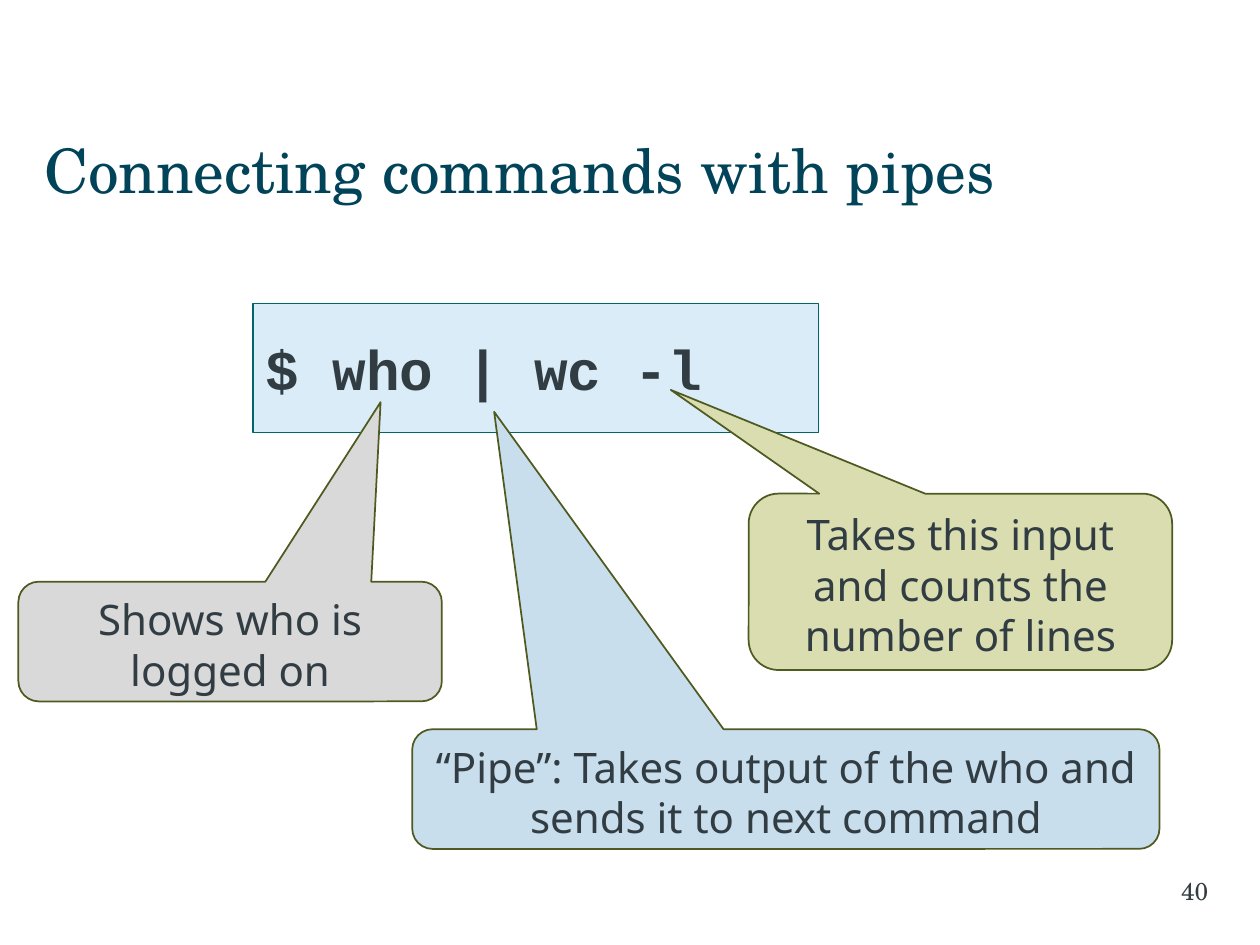
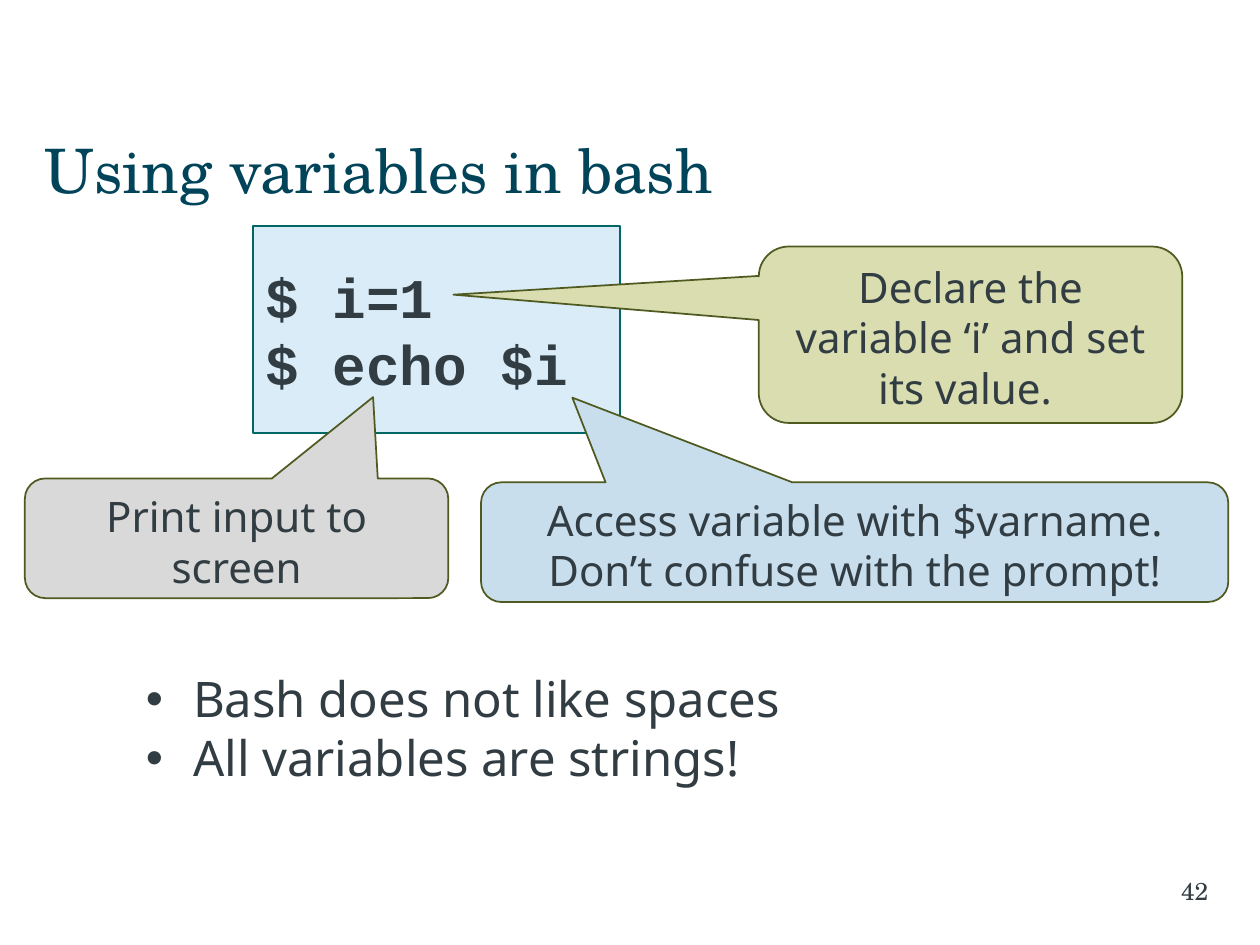
from dataclasses import dataclass

from lxml import etree
from pptx import Presentation
from pptx.dml.color import RGBColor
from pptx.enum import shapes, text
from pptx.oxml import ns
from pptx.util import Pt

KIND = shapes.MSO_SHAPE
ALIGN = text.PP_ALIGN
ANCHOR = text.MSO_ANCHOR


@dataclass(frozen=True)
class Theme:
    serif: str = "TeX Gyre Schola"
    sans: str = "Noto Sans"
    mono: str = "Courier New"
    title: str = "014359"
    ink: str = "323D43"
    code: str = "D4E9F8"
    teal: str = "006666"
    edge: str = "4F5A20"
    grey: str = "D9D9D9"
    blue: str = "C9DEED"
    green: str = "D9DDB0"
    head: int = 35
    cmd: int = 32
    item: int = 28
    note: int = 24
    foot: int = 14


class Deck:
    def __init__(self, theme):
        self.theme = theme
        self.prs = Presentation()
        self.prs.slide_width, self.prs.slide_height = Pt(720), Pt(540)

    def start(self, title, number):
        """Add a slide with its title and page number."""
        t = self.theme
        self.slide = self.prs.slides.add_slide(self.prs.slide_layouts[6])
        box = self.add_box(25.2, 71.3, 669, 51)
        self.set_words(box, title, t.serif, t.head, t.title,
                       anchor=ANCHOR.MIDDLE, pad=(0, 3.6, 7.2, 3.6))
        box = self.add_box(522.7, 496.8, 167.8, 37.4)
        self.set_words(box, str(number), t.serif, t.foot, t.ink,
                       align=ALIGN.RIGHT, pad=(7.2, 3.6, 0, 3.6))

    def add_box(self, *area):
        return self.slide.shapes.add_textbox(*map(Pt, area))

    def add_form(self, kind, area, fill, line):
        form = self.slide.shapes.add_shape(kind, *map(Pt, area))
        form.shadow.inherit = False
        form.fill.solid()
        form.fill.fore_color.rgb = RGBColor.from_string(fill)
        form.line.color.rgb = RGBColor.from_string(line)
        form.line.width = Pt(1)
        return form

    def set_words(self, form, words, font, size, color, bold=False,
                  bullet=False, align=ALIGN.LEFT, anchor=ANCHOR.TOP,
                  pad=(7.2, 3.6, 7.2, 3.6)):
        frame = form.text_frame
        frame.text = words
        frame.word_wrap = True
        frame.vertical_anchor = anchor
        (frame.margin_left, frame.margin_top,
         frame.margin_right, frame.margin_bottom) = map(Pt, pad)
        for para in frame.paragraphs:
            para.alignment = align
            if bullet:
                self.mark(para)
            for run in para.runs:
                run.font.name = font
                run.font.size = Pt(size)
                run.font.bold = bold
                run.font.color.rgb = RGBColor.from_string(color)

    def mark(self, para):
        """Give a paragraph a hanging bullet."""
        props = para._p.get_or_add_pPr()
        props.set("marL", str(Pt(27)))
        props.set("indent", str(-Pt(27)))
        face = etree.SubElement(props, ns.qn("a:buFont"))
        face.set("typeface", "Arial")
        etree.SubElement(props, ns.qn("a:buChar")).set("char", "•")

    def code(self, area, words):
        t = self.theme
        form = self.add_form(KIND.RECTANGLE, area, t.code, t.teal)
        tint = form._element.spPr.find(ns.qn("a:solidFill"))[0]
        etree.SubElement(tint, ns.qn("a:alpha")).set("val", "86000")
        self.set_words(form, words, t.mono, t.cmd, t.ink, bold=True,
                       anchor=ANCHOR.MIDDLE)

    def callout(self, area, tip, fill, words):
        """Add a speech bubble whose tail ends at the point tip."""
        t = self.theme
        left, top, width, height = area
        form = self.add_form(KIND.ROUNDED_RECTANGULAR_CALLOUT, area,
                             fill, t.edge)
        form.adjustments[0] = (tip[0] - left) / width - 0.5
        form.adjustments[1] = (tip[1] - top) / height - 0.5
        form.adjustments[2] = 0.17
        self.set_words(form, words, t.sans, t.note, t.ink,
                       align=ALIGN.CENTER, pad=(7.2, 3.6, 7.2, 0))

    def bullets(self, area, items):
        t = self.theme
        self.set_words(self.add_box(*area), "\n".join(items), t.sans, t.item,
                       t.ink, bullet=True)


def main():
    theme = Theme()
    deck = Deck(theme)
    small, wide, tall = (242, 68.4), (427, 68.4), (242, 100.8)

    deck.start("Connecting commands with pipes", 40)
    deck.code((144.5, 173.5, 323.3, 73.7), "$ who | wc -l")
    deck.callout((10.5, 332.4, *small), (217.5, 229.8), theme.grey,
                 "Shows who is logged on")
    deck.callout((235.6, 416.7, *wide), (282.4, 235.3), theme.blue,
                 "“Pipe”: Takes output of the who and sends it to next command")
    deck.callout((427.8, 282.1, *tall), (383.3, 222.8), theme.green,
                 "Takes this input and counts the number of lines")

    deck.start("Using variables in bash", 42)
    deck.code((144.5, 129.3, 209.8, 118), "$ i=1\n$ echo $i")
    deck.callout((14.2, 273.4, *small), (213.2, 226.9), theme.grey,
                 "Print input to screen")
    deck.callout((274.9, 275.6, *wide), (327.1, 227.2), theme.blue,
                 "Access variable with $varname. "
                 "Don’t confuse with the prompt!")
    deck.callout((433.6, 140.9, *tall), (259.1, 168.4), theme.green,
                 "Declare the variable ‘i’ and set its value. ")
    deck.bullets((76.3, 378.7, 544.3, 74.9),
                 ["Bash does not like spaces", "All variables are strings!"])

    deck.prs.save("out.pptx")


if __name__ == "__main__":
    main()
